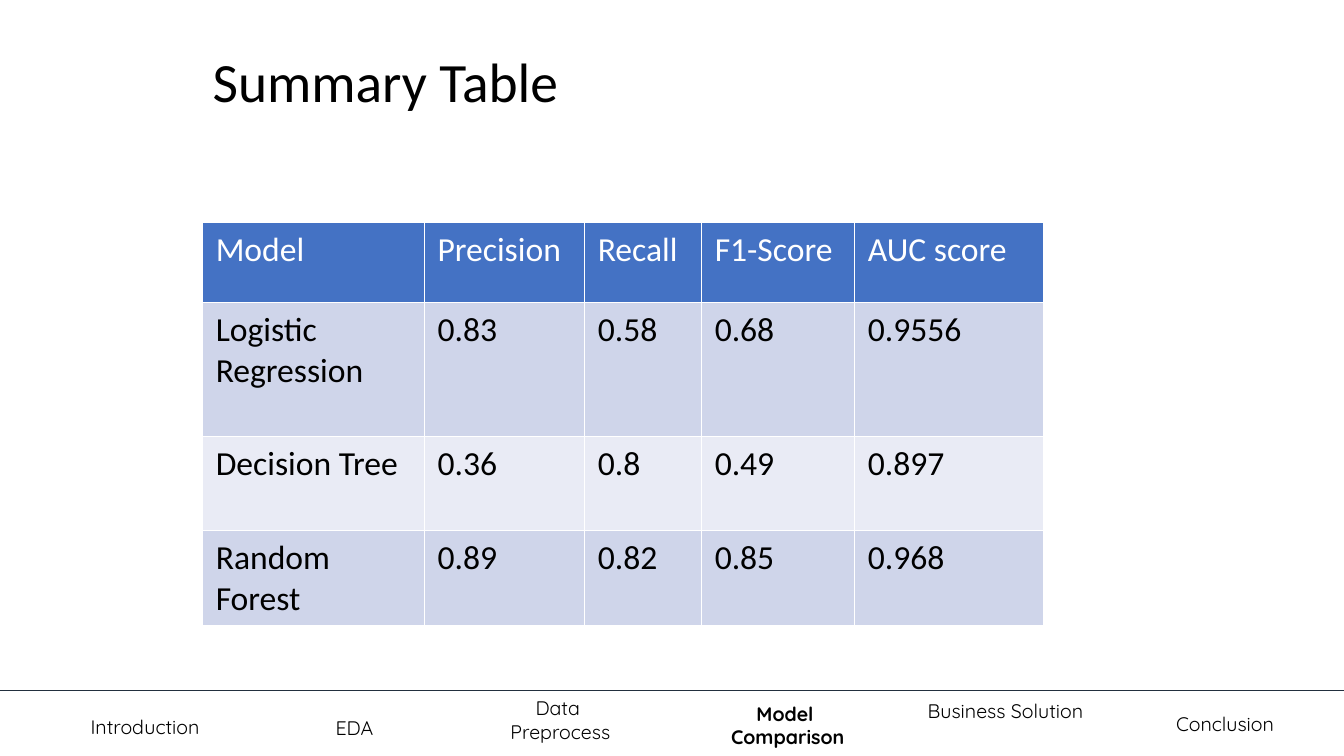
from collections import namedtuple

from lxml import etree
from pptx import Presentation
from pptx import util as u
from pptx.dml.color import RGBColor
from pptx.enum import shapes, text
from pptx.oxml import ns

BLACK = RGBColor(0x00, 0x00, 0x00)
WHITE = RGBColor(0xFF, 0xFF, 0xFF)
RULE = RGBColor(0x22, 0x2F, 0x3E)
HEADER = RGBColor(0x44, 0x72, 0xC4)
BANDS = (RGBColor(0xE9, 0xEB, 0xF5), RGBColor(0xCF, 0xD5, 0xEA))

WIDTH, HEIGHT = u.Inches(13.33), u.Inches(7.5)
COLUMN, ROW = WIDTH / 100, HEIGHT / 100
LEFT, CENTER = text.PP_ALIGN.LEFT, text.PP_ALIGN.CENTER

Box = namedtuple("Box", "left top width height")
Label = namedtuple("Label", "lines left drop width align current")

TITLE_BOX = Box(15.08, 5.6, 69.9, 11.2)
TABLE_BOX = Box(15.08, 29.47, 62.55, 53.2)
FOOTER_BOX = Box(0, 91.33, 100, 8.67)

COLUMN_WIDTHS = (16.5, 11.93, 8.7, 11.4, 14.02)
ROW_HEIGHTS = (10.5, 17.8, 12.45, 12.45)
SCORES = (
    ("Model", "Precision", "Recall", "F1-Score", "AUC score"),
    ("Logistic Regression", "0.83", "0.58", "0.68", "0.9556"),
    ("Decision Tree", "0.36", "0.8", "0.49", "0.897"),
    ("Random Forest", "0.89", "0.82", "0.85", "0.968"),
)
SECTIONS = (
    Label(("Introduction",), 6, 2.53, 20.25, LEFT, False),
    Label(("EDA",), 24.23, 2.67, 9.38, LEFT, False),
    Label(("Data ", "Preprocess"), 35.1, 0.13, 13.2, CENTER, False),
    Label(("Model ", "Comparison"), 51.3, 0.8, 14.63, CENTER, True),
    Label(("Business Solution",), 67.5, 0.4, 14.63, CENTER, False),
    Label(("Conclusion",), 84.4, 2.13, 13.5, CENTER, False),
)


def place(box):
    """Turn a box in grid units into slide lengths."""
    return (round(box.left * COLUMN), round(box.top * ROW),
            round(box.width * COLUMN), round(box.height * ROW))


def style(frame, font, size, color, bold=False, align=LEFT):
    """Format every run of a text frame alike."""
    for para in frame.paragraphs:
        para.alignment = align
        for span in para.runs:
            span.font.name = font
            span.font.size = u.Pt(size)
            span.font.color.rgb = color
            span.font.bold = bold


def add_text(page, box, lines):
    """Add a wrapping text box with one paragraph per line."""
    frame = page.shapes.add_textbox(*place(box)).text_frame
    frame.word_wrap = True
    frame.text = "\n".join(lines)
    return frame


def add_title(page, box):
    """Place the slide heading in its box."""
    frame = add_text(page, box, ["Summary Table"])
    frame.vertical_anchor = text.MSO_ANCHOR.MIDDLE
    frame.margin_left = frame.margin_right = u.Inches(0.1)
    frame.margin_top = frame.margin_bottom = u.Inches(0.1)
    frame.paragraphs[0].line_spacing = 0.9
    style(frame, "Calibri", 39.6, BLACK)


def add_borders(cell):
    """Draw a white one-point line on each side of a cell."""
    properties = cell._tc.get_or_add_tcPr()
    for side in ("lnL", "lnR", "lnT", "lnB"):
        line = etree.SubElement(properties, ns.qn("a:" + side), w=str(u.Pt(1)))
        fill = etree.SubElement(line, ns.qn("a:solidFill"))
        etree.SubElement(fill, ns.qn("a:srgbClr"), val=str(WHITE))


def add_scores(page, box):
    """Place the table of model scores in its box."""
    table = page.shapes.add_table(len(SCORES), len(SCORES[0]), *place(box)).table
    for column, width in zip(table.columns, COLUMN_WIDTHS):
        column.width = round(width * COLUMN)
    for row, height in zip(table.rows, ROW_HEIGHTS):
        row.height = round(height * ROW)
    for index, values in enumerate(SCORES):
        for cell, value in zip(table.rows[index].cells, values):
            cell.text = value
            cell.margin_left = cell.margin_right = u.Inches(0.13)
            cell.margin_top = cell.margin_bottom = u.Inches(0.07)
            add_borders(cell)
            cell.fill.solid()
            cell.fill.fore_color.rgb = BANDS[index % 2] if index else HEADER
            style(cell.text_frame, "Calibri", 24, BLACK if index else WHITE)


def add_footer(page, box):
    """Draw the rule and the section labels of the footer."""
    left, top, width, _ = place(box)
    rule = page.shapes.add_connector(
        shapes.MSO_CONNECTOR.STRAIGHT, left, top, left + width, top)
    rule.line.color.rgb = RULE
    rule.line.width = u.Pt(1)
    etree.SubElement(rule._element.spPr, ns.qn("a:effectLst"))
    for label in SECTIONS:
        height = 4.53 if len(label.lines) == 1 else 7.6
        spot = Box(box.left + label.left, box.top + label.drop, label.width, height)
        frame = add_text(page, spot, label.lines)
        style(frame, "Quicksand", 14, BLACK, label.current, label.align)


def main():
    """Build the summary slide and save it."""
    deck = Presentation()
    deck.slide_width, deck.slide_height = WIDTH, HEIGHT
    page = deck.slides.add_slide(deck.slide_layouts[6])
    add_footer(page, FOOTER_BOX)
    add_title(page, TITLE_BOX)
    add_scores(page, TABLE_BOX)
    deck.save("out.pptx")


if __name__ == "__main__":
    main()
